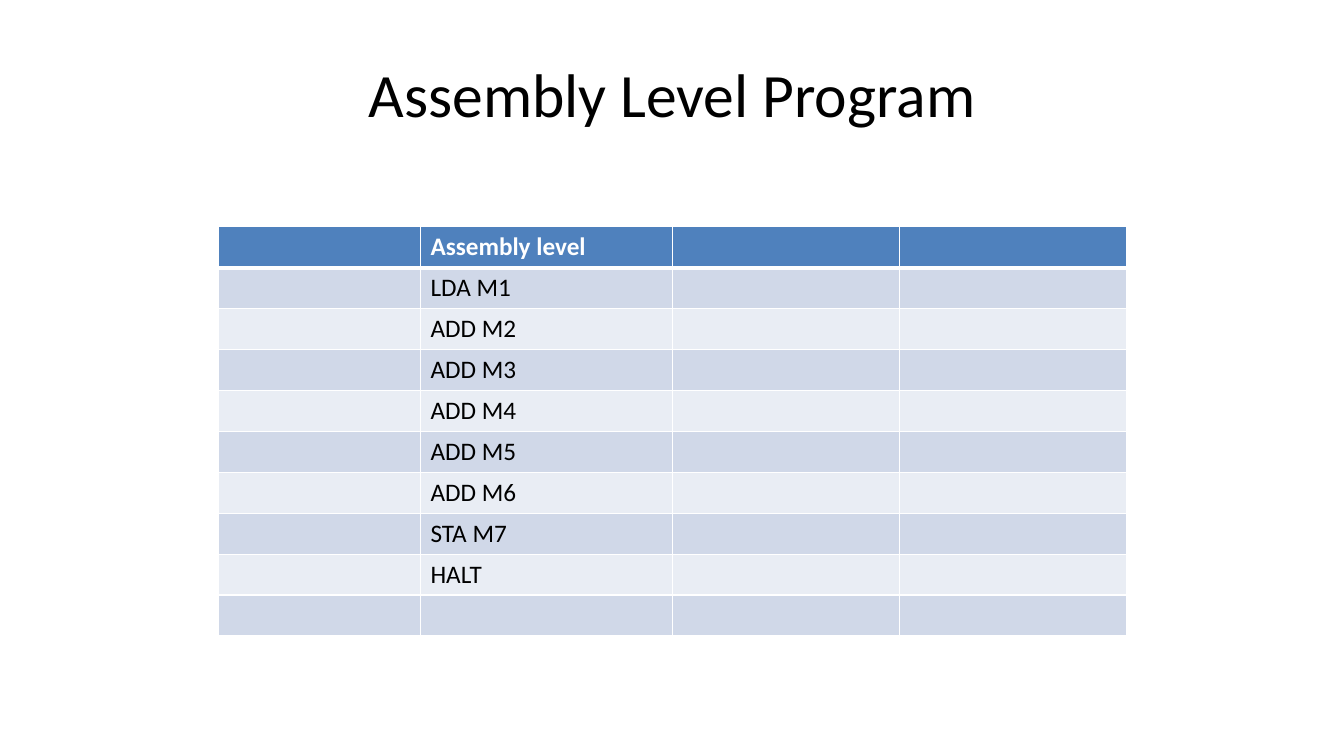
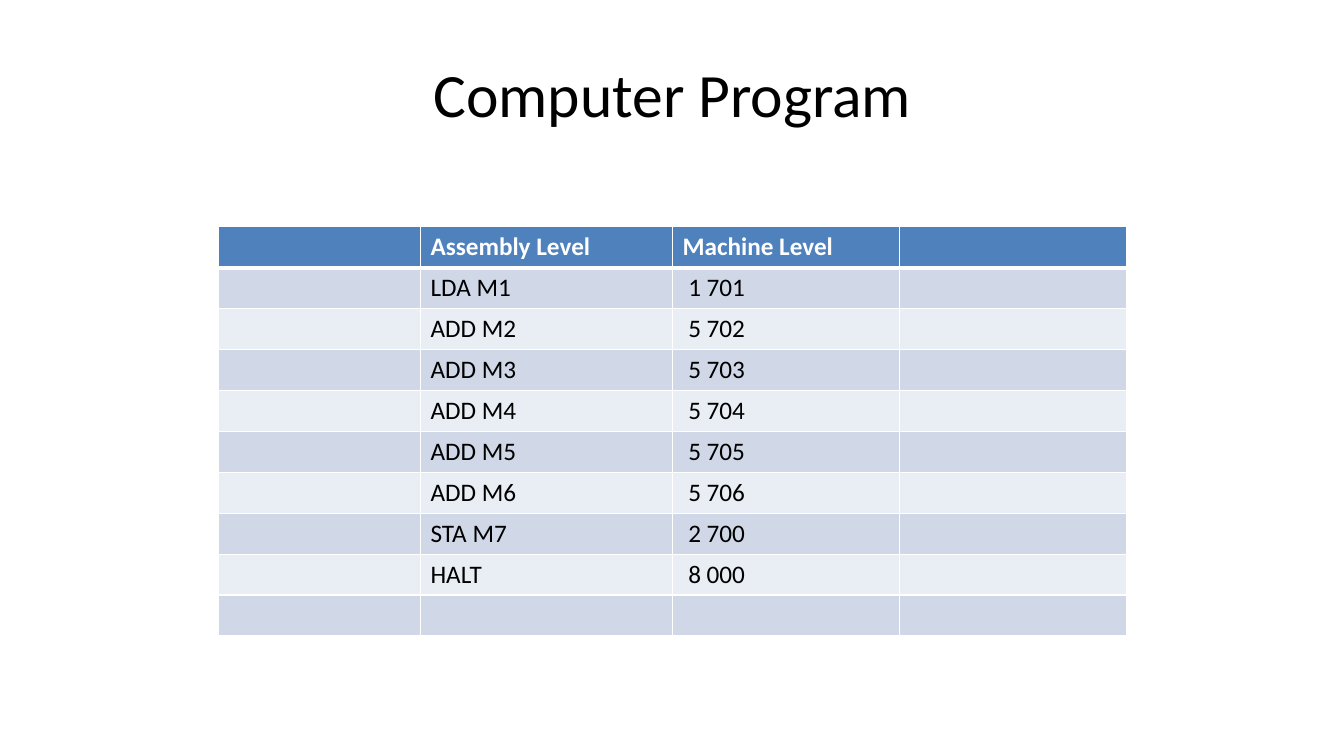
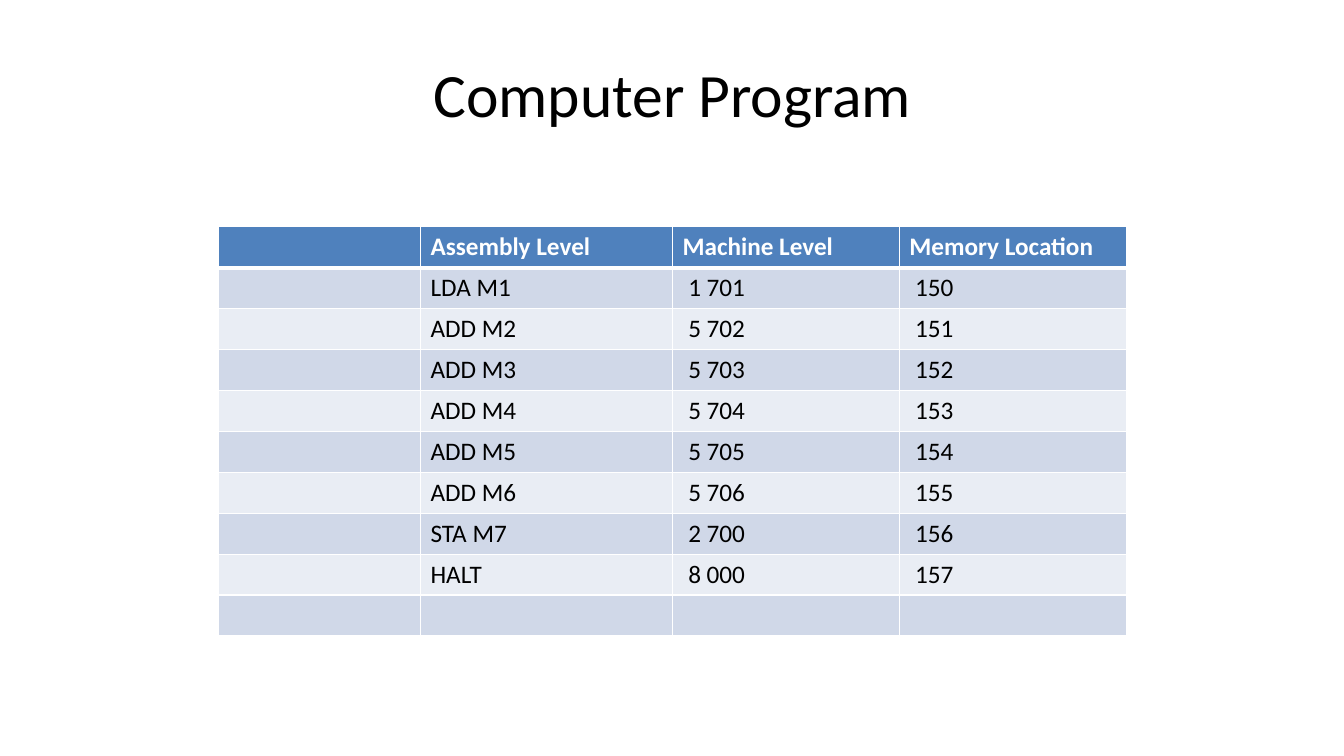
from dataclasses import dataclass

from lxml import etree
from pptx import Presentation
from pptx.dml.color import RGBColor
from pptx.enum import text
from pptx.oxml import ns
from pptx.util import Inches, Pt


@dataclass(frozen=True)
class Theme:
    font: str = "Calibri"
    title_size: int = 44
    cell_size: int = 18
    ink: str = "000000"
    paper: str = "FFFFFF"
    header: str = "4F81BD"
    bands: tuple = ("D0D8E8", "E9EDF4")
    rule: int = 1
    header_rule: int = 3


THEME = Theme()

# Program listing: assembly, machine code, memory location
HEADINGS = ("Assembly Level", "Machine Level", "Memory Location")
INSTRUCTIONS = ("LDA M1", "ADD M2", "ADD M3", "ADD M4",
                "ADD M5", "ADD M6", "STA M7", "HALT")
MACHINE_CODES = (" 1 701", " 5 702", " 5 703", " 5 704",
                 " 5 705", " 5 706", " 2 700", " 8 000")
FIRST_LOCATION = 150
COLUMN_WIDTHS = (2, 2.5, 2.25, 2.25)
ROW_COUNT = len(INSTRUCTIONS) + 2  # header and an empty last row


def write(frame, words, *, size, color, bold=False, align=text.PP_ALIGN.LEFT):
    """Put one formatted paragraph into a text frame."""
    paragraph = frame.paragraphs[0]
    paragraph.alignment = align
    font = paragraph.font
    if words:
        run = paragraph.add_run()
        run.text = words
        font = run.font
    font.name, font.size, font.bold = THEME.font, Pt(size), bold
    font.color.rgb = RGBColor.from_string(color)


def set_border(cell, edge, width):
    """Draw one edge (L, R, T or B) of a cell in the paper colour."""
    properties = cell._tc.get_or_add_tcPr()
    line = etree.SubElement(properties, ns.qn(f"a:ln{edge}"), w=str(Pt(width)))
    fill = etree.SubElement(line, ns.qn("a:solidFill"))
    etree.SubElement(fill, ns.qn("a:srgbClr"), val=THEME.paper)


class Deck:
    def __init__(self, theme):
        self.theme = theme
        self.presentation = Presentation()
        self.presentation.slide_width = Inches(13.33)
        self.presentation.slide_height = Inches(7.5)
        self.slide = None

    def add_slide(self, heading):
        """Start a title-only slide with the shared title style."""
        layout = self.presentation.slide_layouts[5]
        self.slide = self.presentation.slides.add_slide(layout)
        title = self.slide.shapes.title
        title.left, title.top = Inches(0.67), Inches(0.3)
        title.width, title.height = Inches(12), Inches(1.25)
        title.text_frame.vertical_anchor = text.MSO_ANCHOR.MIDDLE
        write(title.text_frame, heading, size=self.theme.title_size,
              color=self.theme.ink, align=text.PP_ALIGN.CENTER)

    def add_program(self, columns):
        """Add the table; columns fill it from the second column on."""
        program = self.slide.shapes.add_table(
            ROW_COUNT, len(COLUMN_WIDTHS), Inches(2.17), Inches(2.25),
            Inches(sum(COLUMN_WIDTHS)), Inches(4.06)).table
        program.horz_banding = False
        for column, width in zip(program.columns, COLUMN_WIDTHS):
            column.width = Inches(width)
        for row in range(ROW_COUNT):
            for col in range(len(COLUMN_WIDTHS)):
                entries = columns[col - 1] if 0 < col <= len(columns) else ()
                words = entries[row] if row < len(entries) else ""
                self.format_cell(program.cell(row, col), row, words)

    def format_cell(self, cell, row, words):
        theme = self.theme
        is_header = row == 0
        top = theme.header_rule if row == 1 else theme.rule
        bottom = theme.header_rule if is_header else theme.rule
        for edge, width in zip("LRTB", (theme.rule, theme.rule, top, bottom)):
            set_border(cell, edge, width)
        cell.fill.solid()
        cell.fill.fore_color.rgb = RGBColor.from_string(
            theme.header if is_header else theme.bands[(row - 1) % 2])
        write(cell.text_frame, words, size=theme.cell_size, bold=is_header,
              color=theme.paper if is_header else theme.ink)


def main():
    deck = Deck(THEME)
    locations = [f" {FIRST_LOCATION + step}" for step in range(len(INSTRUCTIONS))]
    assembly, machine, memory = [
        (heading, *entries) for heading, entries
        in zip(HEADINGS, (INSTRUCTIONS, MACHINE_CODES, locations))]

    # Each slide reveals one more column
    slides = (
        ("Assembly Level Program", [("Assembly level", *INSTRUCTIONS)]),
        ("Computer Program", [assembly, machine]),
        ("Computer Program", [assembly, machine, memory]),
    )
    for heading, columns in slides:
        deck.add_slide(heading)
        deck.add_program(columns)
    deck.presentation.save("out.pptx")


if __name__ == "__main__":
    main()
